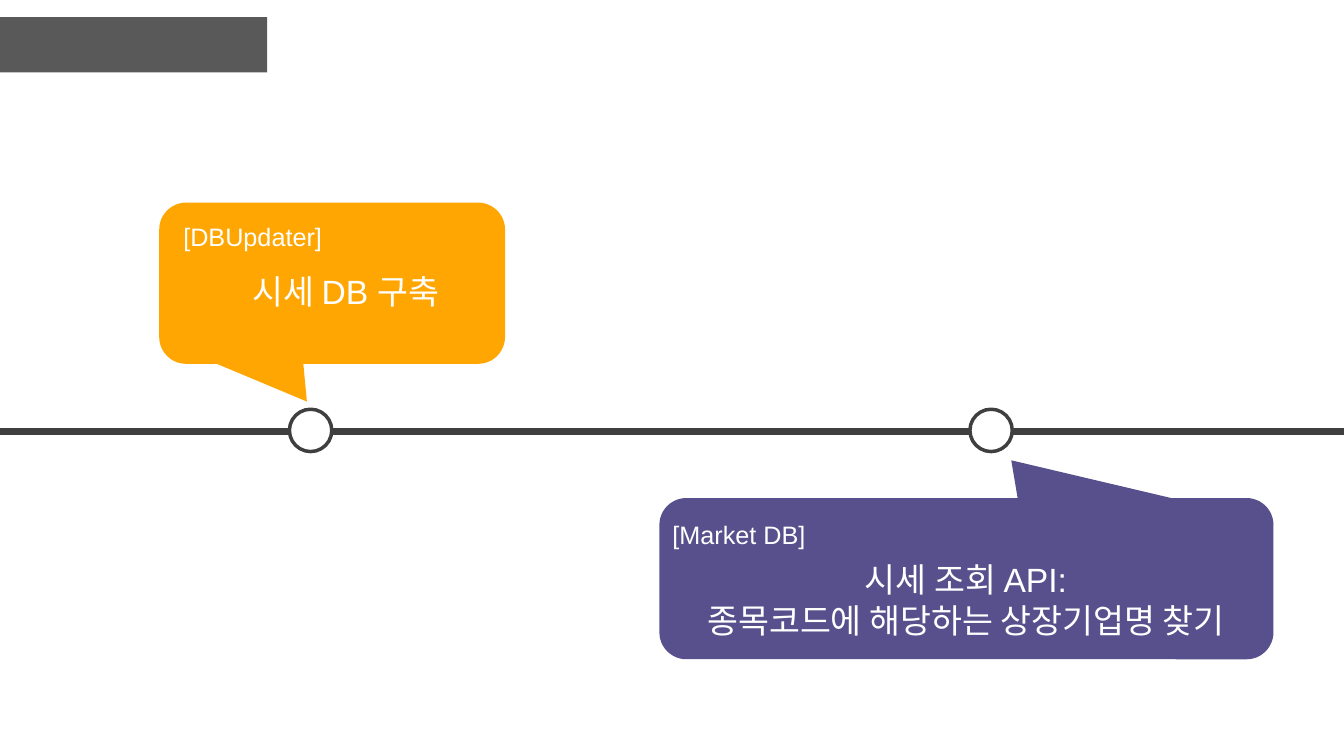
from pptx import Presentation
from pptx import util as u
from pptx.dml.color import RGBColor
from pptx.enum import shapes, text
from pptx.oxml.ns import qn
from lxml import etree

KIND = shapes.MSO_SHAPE
ALIGN = text.PP_ALIGN


def tint(code):
    return RGBColor.from_string(code)


class Deck:
    """Holds the style and the slide; lengths are percent of the slide's size."""
    font, dark, white = "Arial", "3F3F3F", "FFFFFF"

    def __init__(self):
        self.prs = Presentation()
        self.prs.slide_width = u.Inches(13.33)
        self.prs.slide_height = u.Inches(7.5)
        self.slide = self.prs.slides.add_slide(self.prs.slide_layouts[6])

    def x(self, part):
        return round(self.prs.slide_width * part / 100)

    def y(self, part):
        return round(self.prs.slide_height * part / 100)

    def box(self, left, top, wide, high):
        return self.x(left), self.y(top), self.x(wide), self.y(high)

    def shape(self, kind, area, fill, line=None):
        item = self.slide.shapes.add_shape(kind, *self.box(*area))
        item.shadow.inherit = False
        item.fill.solid()
        item.fill.fore_color.rgb = tint(fill)
        if line:
            item.line.color.rgb = tint(line)
            item.line.width = u.Pt(2.5)
        else:
            item.line.fill.background()
        return item

    def axis(self, row):
        rule = self.slide.shapes.add_connector(
            shapes.MSO_CONNECTOR.STRAIGHT, 0, self.y(row), self.x(100), self.y(row))
        rule.line.color.rgb = tint(self.dark)
        rule.line.width = u.Pt(5.5)
        etree.SubElement(rule.element.spPr, qn("a:effectLst"))

    def dot(self, col, row):
        wide, high = 3.15, 5.6
        area = (col - wide / 2, row - high / 2, wide, high)
        self.shape(KIND.OVAL, area, self.white, self.dark)

    def bubble(self, area, fill, turn=0):
        item = self.shape(KIND.ROUNDED_RECTANGULAR_CALLOUT, area, fill)
        item.rotation = turn
        for i, value in enumerate((-0.073, 0.734, 0.167)):
            item.adjustments[i] = value

    def label(self, area, lines, size, align):
        frame = self.slide.shapes.add_textbox(*self.box(*area)).text_frame
        frame.word_wrap = True
        frame.auto_size = text.MSO_AUTO_SIZE.SHAPE_TO_FIT_TEXT
        frame.text = "\n".join(lines)
        for para in frame.paragraphs:
            para.alignment = align
            para.font.name = self.font
            para.font.size = u.Pt(size)
            para.font.color.rgb = tint(self.white)


def main():
    deck = Deck()

    # Title bar
    deck.shape(KIND.RECTANGLE, (0, 2.27, 19.88, 7.33), "595959")

    # Timeline
    deck.axis(57.07)

    # Callouts
    deck.bubble((11.85, 26.8, 25.73, 21.33), "FFA602")
    deck.bubble((49.06, 65.87, 45.69, 21.33), "58508D", 180)

    # Milestones
    for col in (23.11, 73.74):
        deck.dot(col, 56.93)

    # Step text
    for area, lines in (
        ((15.45, 35.2, 20.56, 6.67), ["시세 DB 구축"]),
        ((47.64, 73.33, 48.46, 12.13),
         ["시세 조회 API:", "종목코드에 해당하는 상장기업명 찾기"]),
    ):
        deck.label(area, lines, 24, ALIGN.CENTER)

    # Module tags
    for area, tag in (
        ((12.9, 28.67, 13.95, 5.33), "[DBUpdater]"),
        ((49.29, 68, 22.13, 5.33), "[Market DB]"),
    ):
        deck.label(area, [tag], 18, ALIGN.JUSTIFY)

    deck.prs.save("out.pptx")


if __name__ == "__main__":
    main()
